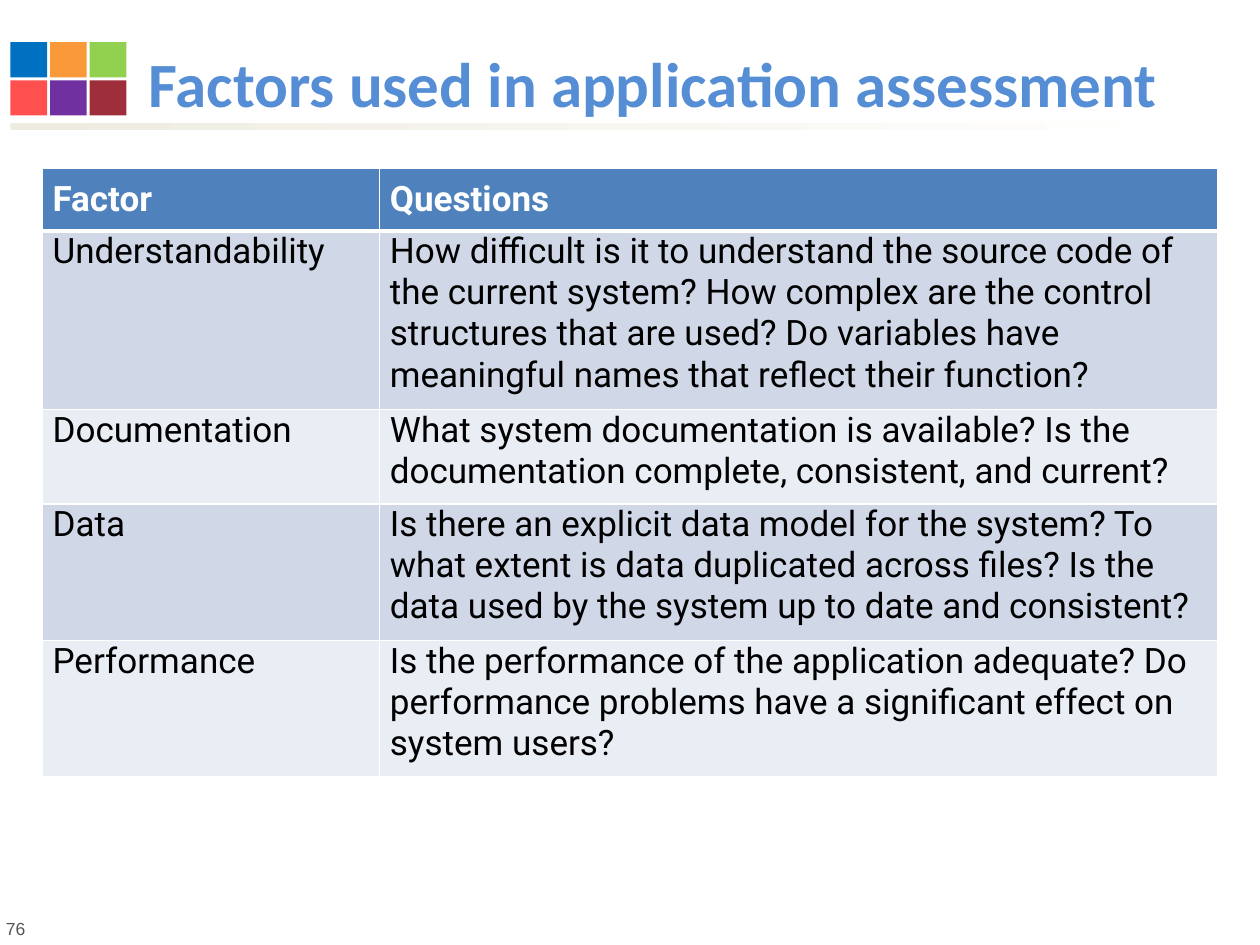
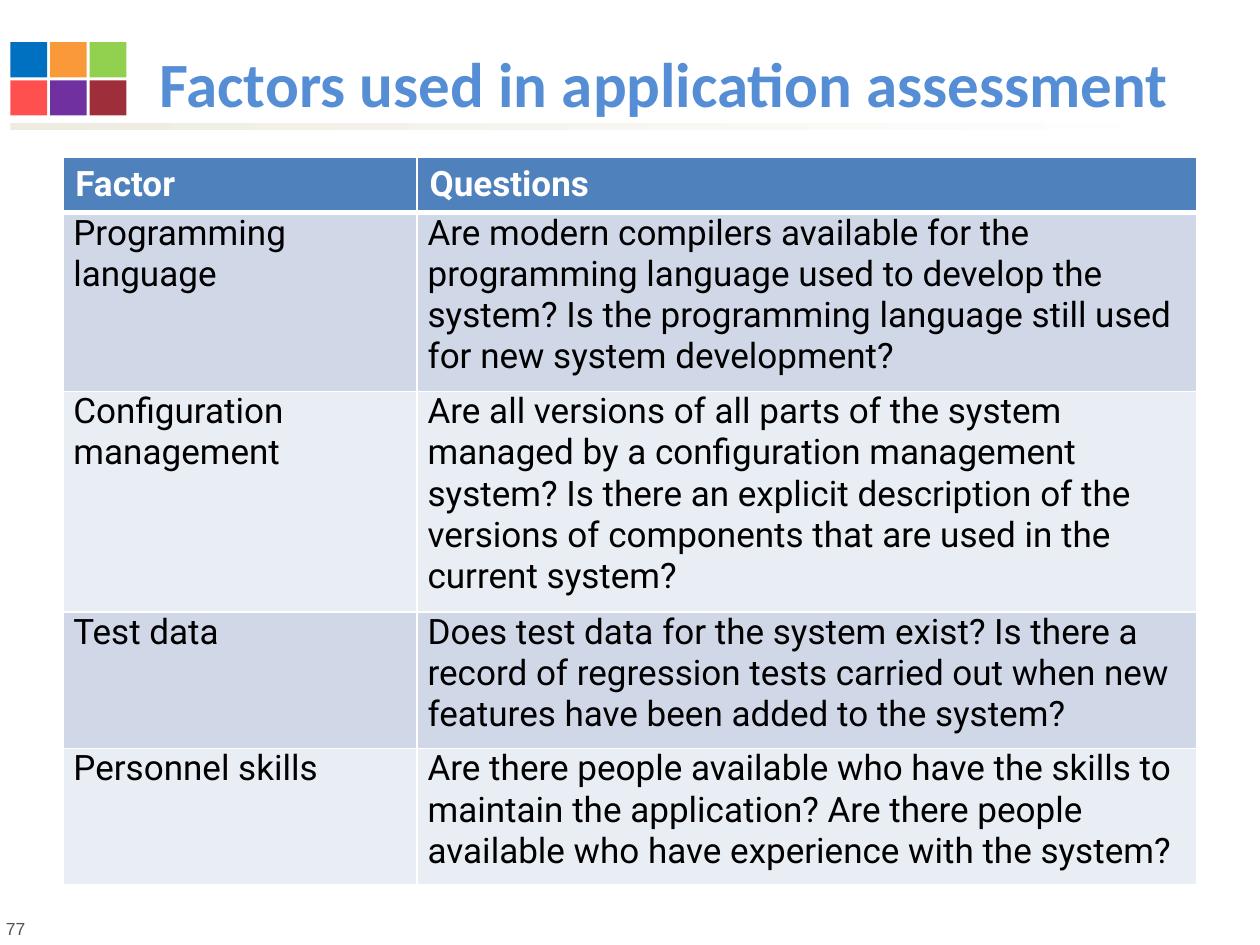
from dataclasses import dataclass

from lxml import etree
from pptx import Presentation
from pptx.dml.color import RGBColor
from pptx.enum.shapes import MSO_SHAPE
from pptx.enum.text import MSO_ANCHOR, MSO_AUTO_SIZE, PP_ALIGN
from pptx.oxml.ns import qn
from pptx.util import Cm, Pt

RECTANGLE = MSO_SHAPE.RECTANGLE
BOTTOM = MSO_ANCHOR.BOTTOM
NO_AUTOFIT = MSO_AUTO_SIZE.NONE
LEFT = PP_ALIGN.LEFT

# Colours
WHITE = RGBColor(0xFF, 0xFF, 0xFF)
BLACK = RGBColor(0x00, 0x00, 0x00)
TITLE_BLUE = RGBColor(0x55, 0x8E, 0xD5)
HEADER_BLUE = RGBColor(0x4F, 0x81, 0xBD)
BAND_DARK = RGBColor(0xD0, 0xD8, 0xE8)
BAND_LIGHT = RGBColor(0xE9, 0xED, 0xF4)
RULE_BEIGE = RGBColor(0xEE, 0xEC, 0xE1)
NUMBER_GREY = RGBColor(0x55, 0x55, 0x55)
TILE_ROWS = (
    (RGBColor(0x00, 0x70, 0xC0), RGBColor(0xF9, 0x99, 0x39), RGBColor(0x92, 0xD0, 0x50)),
    (RGBColor(0xFF, 0x50, 0x50), RGBColor(0x70, 0x30, 0xA0), RGBColor(0x9E, 0x2E, 0x39)),
)

# Text formats
TITLE_FONT = {"name": "Calibri", "size": Pt(36), "bold": True}
HEADER_FONT = {"name": "Roboto", "size": Pt(20), "bold": True}
BODY_FONT = {"name": "Roboto", "size": Pt(20), "bold": False}
NUMBER_FONT = {"name": "Arial", "size": Pt(10), "bold": False}

# Table metrics in centimetres
LINE_HEIGHT = 0.83
CELL_INSET = 0.21


@dataclass(frozen=True)
class Area:
    left: float
    top: float
    width: float
    height: float

    def lengths(self):
        return Cm(self.left), Cm(self.top), Cm(self.width), Cm(self.height)


@dataclass(frozen=True)
class Insets:
    side: float
    top: float
    bottom: float


@dataclass(frozen=True)
class Factor:
    name: str
    questions: str
    lines: int


@dataclass(frozen=True)
class AssessmentPage:
    number: int
    title_area: Area
    table_left: float
    table_top: float
    columns: tuple[float, float]
    header_insets: Insets
    header_space_after: int
    factors: tuple[Factor, ...]


TITLE = "Factors used in application assessment"
HEADINGS = ("Factor", "Questions")
BODY_INSETS = Insets(CELL_INSET, 0, CELL_INSET)

PAGES = (
    AssessmentPage(
        76, Area(2.74, 0.2, 22.86, 2.34), 0.85, 3.39, (6.8, 16.9),
        Insets(CELL_INSET, CELL_INSET, CELL_INSET), 6,
        (
            Factor("Understandability", "How difficult is it to understand the source code of "
                   "the current system? How complex are the control structures that are used? "
                   "Do variables have meaningful names that reflect their function?", 4),
            Factor("Documentation", "What system documentation is available? Is the "
                   "documentation complete, consistent, and current?", 2),
            Factor("Data", "Is there an explicit data model for the system? To what extent is "
                   "data duplicated across files? Is the data used by the system up to date "
                   "and consistent?", 3),
            Factor("Performance", "Is the performance of the application adequate? Do "
                   "performance problems have a significant effect on system users?", 3),
        ),
    ),
    AssessmentPage(
        77, Area(2.96, 0.82, 22.02, 1.72), 1.27, 3.18, (7.14, 15.72),
        Insets(0.25, 0.13, 0.13), 0,
        (
            Factor("Programming language", "Are modern compilers available for the programming "
                   "language used to develop the system? Is the programming language still "
                   "used for new system development?", 4),
            Factor("Configuration management", "Are all versions of all parts of the system "
                   "managed by a configuration management system? Is there an explicit "
                   "description of the versions of components that are used in the current "
                   "system?", 5),
            Factor("Test data", "Does test data for the system exist? Is there a record of "
                   "regression tests carried out when new features have been added to the "
                   "system?", 3),
            Factor("Personnel skills", "Are there people available who have the skills to "
                   "maintain the application? Are there people available who have experience "
                   "with the system?", 3),
        ),
    ),
)


def write_text(frame, text: str, font: dict, color: RGBColor, space_after: int = 0) -> None:
    para = frame.paragraphs[0]
    para.alignment = LEFT
    para.space_after = Pt(space_after)
    span = para.add_run()
    span.text = text
    for name, value in font.items():
        setattr(span.font, name, value)
    span.font.color.rgb = color


def add_rectangle(slide, area: Area):
    box = slide.shapes.add_shape(RECTANGLE, *area.lengths())
    box.shadow.inherit = False
    box.line.fill.background()
    return box


def add_decoration(slide) -> None:
    # Fading rule under the title
    rule = add_rectangle(slide, Area(0.21, 2.49, 24.08, 0.13))
    rule.fill.gradient()
    rule.fill.gradient_angle = 0
    for stop, color in zip(rule.fill.gradient_stops, (RULE_BEIGE, WHITE)):
        stop.color.rgb = color

    # Coloured tiles
    for row, colors in enumerate(TILE_ROWS):
        for column, color in enumerate(colors):
            tile = add_rectangle(
                slide, Area(0.21 + 0.8 * column, 0.85 + 0.77 * row, 0.74, 0.71))
            tile.fill.solid()
            tile.fill.fore_color.rgb = color


def add_page_number(slide, number: int) -> None:
    box = slide.shapes.add_textbox(*Area(-0.13, 18.39, 14.73, 0.69).lengths())
    box.text_frame.word_wrap = True
    write_text(box.text_frame, str(number), NUMBER_FONT, NUMBER_GREY)


def format_title(slide, area: Area) -> None:
    title = slide.shapes.title
    title.left, title.top, title.width, title.height = area.lengths()
    title.text_frame.auto_size = NO_AUTOFIT
    title.text_frame.vertical_anchor = BOTTOM
    write_text(title.text_frame, TITLE, TITLE_FONT, TITLE_BLUE)


def set_borders(cell, widths: dict[str, int]) -> None:
    properties = cell._tc.get_or_add_tcPr()
    for position, (side, width) in enumerate(widths.items()):
        line = etree.Element(qn(f"a:{side}"), w=str(Pt(width)))
        fill = etree.SubElement(line, qn("a:solidFill"))
        etree.SubElement(fill, qn("a:srgbClr"), val=str(WHITE))
        properties.insert(position, line)


def fill_cell(cell, text: str, font: dict, color: RGBColor, background: RGBColor,
              insets: Insets, space_after: int) -> None:
    cell.margin_left = cell.margin_right = Cm(insets.side)
    cell.margin_top = Cm(insets.top)
    cell.margin_bottom = Cm(insets.bottom)
    cell.fill.solid()
    cell.fill.fore_color.rgb = background
    write_text(cell.text_frame, text, font, color, space_after)


def add_factor_table(slide, page: AssessmentPage) -> None:
    header = page.header_insets
    heights = [LINE_HEIGHT + header.top + header.bottom]
    heights += [LINE_HEIGHT * factor.lines + CELL_INSET for factor in page.factors]
    area = Area(page.table_left, page.table_top, sum(page.columns), sum(heights))
    table = slide.shapes.add_table(len(heights), len(HEADINGS), *area.lengths()).table
    for column, width in zip(table.columns, page.columns):
        column.width = Cm(width)
    for row, height in zip(table.rows, heights):
        row.height = Cm(height)

    contents = [HEADINGS] + [(factor.name, factor.questions) for factor in page.factors]
    for row, texts in enumerate(contents):
        for column, text in enumerate(texts):
            cell = table.cell(row, column)
            if row == 0:
                fill_cell(cell, text, HEADER_FONT, WHITE, HEADER_BLUE,
                          header, page.header_space_after)
            else:
                band = BAND_DARK if row % 2 else BAND_LIGHT
                fill_cell(cell, text, BODY_FONT, BLACK, band, BODY_INSETS, 6)
            set_borders(cell, {"lnL": 1, "lnR": 1, "lnT": 3 if row == 1 else 1,
                               "lnB": 3 if row == 0 else 1})


def main() -> None:
    deck = Presentation()
    deck.slide_width, deck.slide_height = Cm(25.4), Cm(19.05)
    title_only = deck.slide_layouts[5]
    for page in PAGES:
        slide = deck.slides.add_slide(title_only)
        add_decoration(slide)
        add_page_number(slide, page.number)
        format_title(slide, page.title_area)
        add_factor_table(slide, page)
    deck.save("out.pptx")


if __name__ == "__main__":
    main()
